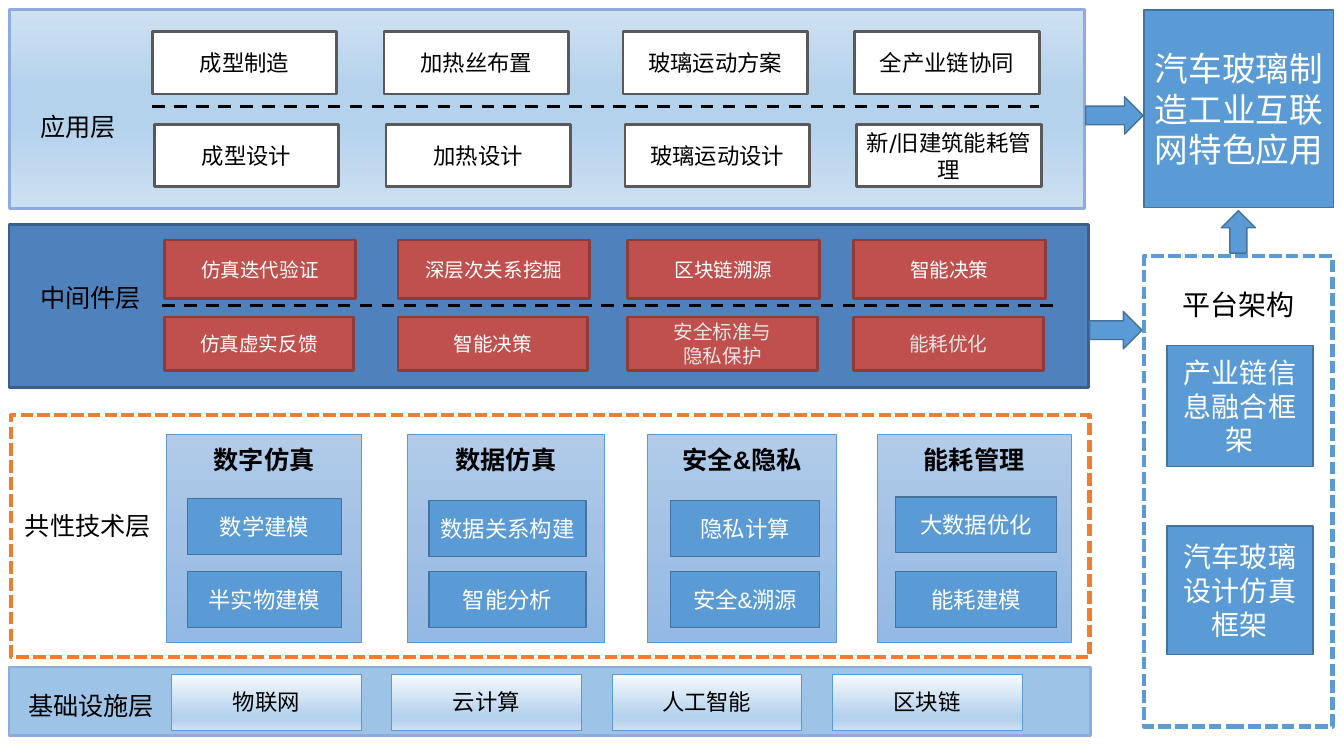
from lxml import etree
from pptx import Presentation
from pptx.dml.color import RGBColor
from pptx.enum.dml import MSO_LINE
from pptx.enum.shapes import MSO_CONNECTOR, MSO_SHAPE
from pptx.enum.text import MSO_ANCHOR, PP_ALIGN
from pptx.oxml.ns import qn
from pptx.util import Cm, Pt

RECT, RIGHT_ARROW, UP_ARROW = MSO_SHAPE.RECTANGLE, MSO_SHAPE.RIGHT_ARROW, MSO_SHAPE.UP_ARROW
STRAIGHT = MSO_CONNECTOR.STRAIGHT
DASH, SQUARE_DOT = MSO_LINE.DASH, MSO_LINE.SQUARE_DOT
TOP, MIDDLE = MSO_ANCHOR.TOP, MSO_ANCHOR.MIDDLE
LEFT, CENTER = PP_ALIGN.LEFT, PP_ALIGN.CENTER

WHITE, BLACK, PALE = "FFFFFF", "000000", "E7E6E6"
BLUE, BLUE_EDGE, PANEL_EDGE = "5B9BD5", "43739E", "8FAADC"
LATIN, SYMBOL, CJK = "Arial", "DejaVu Sans", "Noto Sans CJK SC"

# Gradient stops: position, colour, opacity (all in percent)
APPLICATION_FILL = [(1, "B5D2EC", 65), (40, "B5D2EC", 100), (59, "B5D2EC", 100), (100, "CEE1F2", 100)]
INFRASTRUCTURE_FILL = [(0, "F7FAFD", 100), (74, "B5D2EC", 100), (83, "B5D2EC", 100), (100, "CEE1F2", 100)]
TECHNOLOGY_FILL = [(0, "B1CBE9", 100), (50, "A3C1E5", 100), (100, "93B9E4", 100)]


def color(hex_value):
    return RGBColor.from_string(hex_value)


def write(frame, text, size=16, font=LATIN, ink=WHITE, bold=False, align=CENTER, anchor=MIDDLE):
    frame.word_wrap = True
    frame.vertical_anchor = anchor
    frame.text = text
    for paragraph in frame.paragraphs:
        paragraph.alignment = align
        for run in paragraph.runs:
            run.font.size, run.font.bold, run.font.name = Pt(size), bold, font
            run.font.color.rgb = color(ink)
            east_asian = etree.SubElement(run.font._element, qn("a:ea"))
            east_asian.set("typeface", CJK)


class Diagram:
    def __init__(self, slide):
        self.slide = slide

    def block(self, x, y, w, h, fill=BLUE, edge=BLUE_EDGE, weight=1, dash=None,
              kind=RECT, text=None, **style):
        shape = self.slide.shapes.add_shape(kind, Cm(x), Cm(y), Cm(w), Cm(h))
        shape.shadow.inherit = False
        if fill is None:
            shape.fill.background()
        elif isinstance(fill, list):
            self.shade(shape, fill)
        else:
            shape.fill.solid()
            shape.fill.fore_color.rgb = color(fill)
        shape.line.color.rgb = color(edge)
        shape.line.width = Pt(weight)
        if dash is not None:
            shape.line.dash_style = dash
        if text:
            write(shape.text_frame, text, **style)
        return shape

    def shade(self, shape, stops):
        shape.fill.gradient()
        shape.fill.gradient_angle = 270
        stop_list = shape.element.spPr.find(".//" + qn("a:gsLst"))
        for stop in list(stop_list):
            stop_list.remove(stop)
        for position, hex_value, opacity in stops:
            stop = etree.SubElement(stop_list, qn("a:gs"), pos=str(position * 1000))
            tint = etree.SubElement(stop, qn("a:srgbClr"), val=hex_value)
            if opacity < 100:
                etree.SubElement(tint, qn("a:alpha"), val=str(opacity * 1000))

    def label(self, x, y, w, text, size=18):
        box = self.slide.shapes.add_textbox(Cm(x), Cm(y), Cm(w), Cm(1.02))
        write(box.text_frame, text, size=size, font=CJK, ink=BLACK, align=LEFT, anchor=TOP)

    def divider(self, x1, x2, y):
        line = self.slide.shapes.add_connector(STRAIGHT, Cm(x1), Cm(y), Cm(x2), Cm(y))
        line.line.color.rgb = color(BLACK)
        line.line.width = Pt(2.25)
        line.line.dash_style = DASH
        etree.SubElement(line.element.spPr, qn("a:effectLst"))


def application_layer(diagram):
    diagram.block(0.25, 0.25, 27.08, 5, APPLICATION_FILL, PANEL_EDGE, 2)
    diagram.label(0.76, 2.69, 3.1, "应用层")
    columns = [
        (3.84, "成型制造", "成型设计"),
        (9.68, "加热丝布置", "加热设计"),
        (15.7, "玻璃运动方案", "玻璃运动设计"),
        (21.54, "全产业链协同", "新/旧建筑能耗管理"),
    ]
    for x, solution, design in columns:
        for left, y, text in [(x, 0.8, solution), (x + 0.05, 3.14, design)]:
            diagram.block(left, y, 4.65, 1.57, WHITE, "595959", 2,
                          text=text, font=SYMBOL, ink=BLACK)
    diagram.divider(3.84, 26.19, 2.69)


def middleware_layer(diagram):
    diagram.block(0.23, 5.66, 27.2, 4.11, "4F81BD", "3A5F8C", 2)
    diagram.label(0.76, 6.99, 3.07, "中间件层")
    plain, muted = {}, {"font": SYMBOL, "ink": PALE}
    columns = [
        (4.14, "仿真迭代验证", "仿真虚实反馈", plain),
        (10.03, "深层次关系挖掘", "智能决策", plain),
        (15.82, "区块链溯源", "安全标准与\n隐私保护", muted),
        (21.51, "智能决策", "能耗优化", muted),
    ]
    for x, upper, lower, lower_style in columns:
        for y, w, h, text, style in [(6.05, 4.83, 1.47, upper, plain),
                                     (7.99, 4.78, 1.35, lower, lower_style)]:
            diagram.block(x, y, w, h, "C0504D", "8E3B39", 2, text=text, size=14, **style)
    diagram.divider(4.09, 26.7, 7.7)


def technology_layer(diagram):
    diagram.block(0.28, 10.46, 27.18, 6.1, None, "ED7D31", 3, SQUARE_DOT)
    diagram.label(0.38, 12.73, 3.8, "共性技术层")
    # Panel left and width, then box left, width and first top
    columns = [
        (4.19, 4.93, 4.72, 3.89, 12.57, "数字仿真", "数学建模", "半实物建模"),
        (10.26, 4.98, 10.81, 3.96, 12.62, "数据仿真", "数据关系构建", "智能分析"),
        (16.31, 4.78, 16.9, 3.76, 12.62, "安全&隐私", "隐私计算", "安全&溯源"),
        (22.1, 4.9, 22.57, 4.06, 12.52, "能耗管理", "大数据优化", "能耗建模"),
    ]
    for x, w, box_x, box_w, first_y, title, first, second in columns:
        panel = diagram.block(x, 10.94, w, 5.26, TECHNOLOGY_FILL, BLUE, 0.5, text=title,
                              size=18, ink=BLACK, bold=True, anchor=TOP)
        panel.text_frame.margin_top = Cm(0.26)
        for y, text in [(first_y, first), (14.4, second)]:
            diagram.block(box_x, y, box_w, 1.41, text=text)


def infrastructure_layer(diagram):
    diagram.block(0.23, 16.81, 27.25, 1.73, "9DC3E6", PANEL_EDGE, 2)
    diagram.label(0.46, 17.27, 3.8, "基础设施层")
    for i, text in enumerate(["物联网", "云计算", "人工智能", "区块链"]):
        diagram.block(4.32 + 5.55 * i, 16.99, 4.78, 1.4, INFRASTRUCTURE_FILL, BLUE, 0.25,
                      text=text, font=SYMBOL, ink=BLACK)


def platform_column(diagram):
    diagram.block(28.83, 0.25, 4.78, 4.98, text="汽车玻璃制造工业互联网特色应用", size=24)
    diagram.block(28.83, 6.45, 4.75, 11.86, None, BLUE, 3, SQUARE_DOT)
    diagram.label(29.54, 7.11, 3.51, "平台架构", size=20)
    for y, h, text in [(8.71, 3.05, "产业链信息融合框架"), (13.26, 3.23, "汽车玻璃设计仿真框架")]:
        diagram.block(29.41, y, 3.68, h, text=text, size=20)
    # Flow arrows between layers and platform
    diagram.block(27.36, 2.44, 1.45, 0.94, kind=RIGHT_ARROW)
    diagram.block(27.46, 7.85, 1.32, 0.94, kind=RIGHT_ARROW)
    diagram.block(30.78, 5.31, 0.86, 1.07, kind=UP_ARROW)


def main():
    deck = Presentation()
    deck.slide_width, deck.slide_height = Cm(33.87), Cm(19.05)
    diagram = Diagram(deck.slides.add_slide(deck.slide_layouts[6]))
    application_layer(diagram)
    middleware_layer(diagram)
    technology_layer(diagram)
    infrastructure_layer(diagram)
    platform_column(diagram)
    deck.save("out.pptx")


if __name__ == "__main__":
    main()
